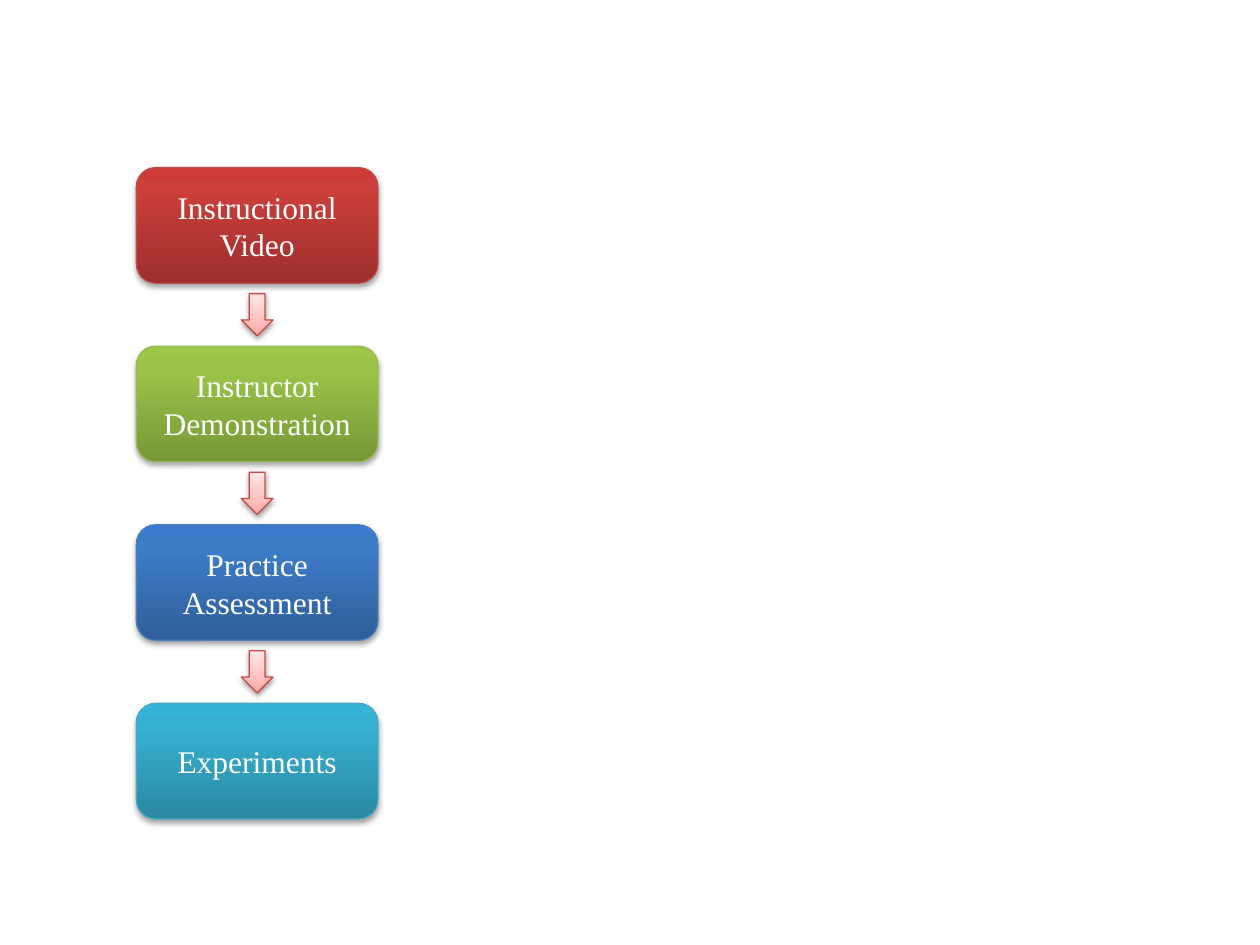
from lxml import etree
from pptx import Presentation
from pptx.dml.color import RGBColor
from pptx.enum import shapes, text
from pptx.oxml import ns
from pptx.util import Cm, Pt

COLORS = {
    "text": "FFFFFF",
    "shadow": "000000",
    "red line": "BF4C48",
    "green line": "98B955",
    "blue line": "4B7EBC",
    "teal line": "46AAC5",
}
# Gradients run upwards: position in percent, colour
GRADIENTS = {
    "red": [(0, "9C2F2D"), (80, "CB3E3A"), (100, "CE3B37")],
    "green": [(0, "779737"), (80, "9BC348"), (100, "9DC746")],
    "blue": [(0, "2F5F99"), (80, "3D7CC7"), (100, "3A7CCB")],
    "teal": [(0, "2A88A2"), (80, "37B1D2"), (100, "34B4D6")],
    "pink": [(0, "FFA6A5"), (35, "FFC0BF"), (100, "FFE7E7")],
}
STEPS = [
    ("Instructional Video", "red"),
    ("Instructor Demonstration", "green"),
    ("Practice Assessment", "blue"),
    ("Experiments", "teal"),
]


def add_element(parent, tag, **attributes):
    return etree.SubElement(parent, ns.qn(tag), attributes)


def style(shape, gradient, line, distance, opacity):
    """Give a shape its gradient, outline and soft shadow below."""
    shape.fill.gradient()
    shape.fill.gradient_angle = 90
    stops = shape.element.spPr.find(".//" + ns.qn("a:gsLst"))
    for stop in list(stops):
        stops.remove(stop)
    for position, color in GRADIENTS[gradient]:
        stop = add_element(stops, "a:gs", pos=str(position * 1000))
        add_element(stop, "a:srgbClr", val=color)

    shape.line.color.rgb = RGBColor.from_string(COLORS[line])
    shape.line.width = Pt(0.75)

    shape.shadow.inherit = False
    effects = shape.element.spPr.find(ns.qn("a:effectLst"))
    shadow = add_element(effects, "a:outerShdw", blurRad=str(Pt(3.1)),
                         dist=str(Pt(distance)), dir="5400000", rotWithShape="0")
    tint = add_element(shadow, "a:srgbClr", val=COLORS["shadow"])
    add_element(tint, "a:alpha", val=str(opacity * 1000))


def add_step(slide, label, color, left, top, width, height):
    step = slide.shapes.add_shape(
        shapes.MSO_SHAPE.ROUNDED_RECTANGLE, left, top, width, height)
    style(step, color, f"{color} line", 1.8, 35)
    frame = step.text_frame
    frame.word_wrap = True
    frame.vertical_anchor = text.MSO_ANCHOR.MIDDLE
    paragraph = frame.paragraphs[0]
    paragraph.text = label
    paragraph.alignment = text.PP_ALIGN.CENTER
    paragraph.font.name = "Times New Roman"
    paragraph.font.size = Pt(18)
    paragraph.font.color.rgb = RGBColor.from_string(COLORS["text"])


def add_flow(slide, left, top, width, height):
    """Stack the steps evenly in the box, with an arrow centred in each gap."""
    step_height = Cm(2.33)
    arrow_width, arrow_height = Cm(0.64), Cm(0.85)
    pitch = (height - step_height) // (len(STEPS) - 1)
    arrow_left = left + (width - arrow_width) // 2
    arrow_offset = (pitch + step_height - arrow_height) // 2

    for index, (label, color) in enumerate(STEPS):
        step_top = top + index * pitch
        add_step(slide, label, color, left, step_top, width, step_height)
        if index < len(STEPS) - 1:
            arrow = slide.shapes.add_shape(
                shapes.MSO_SHAPE.DOWN_ARROW, arrow_left,
                step_top + arrow_offset, arrow_width, arrow_height)
            style(arrow, "pink", "red line", 1.6, 38)


def main():
    presentation = Presentation()
    presentation.slide_width, presentation.slide_height = Cm(25.4), Cm(19.05)
    # Blank layout: the slide has no title
    slide = presentation.slides.add_slide(presentation.slide_layouts[6])
    add_flow(slide, Cm(2.75), Cm(3.38), Cm(4.87), Cm(13.13))
    presentation.save("out.pptx")


if __name__ == "__main__":
    main()
